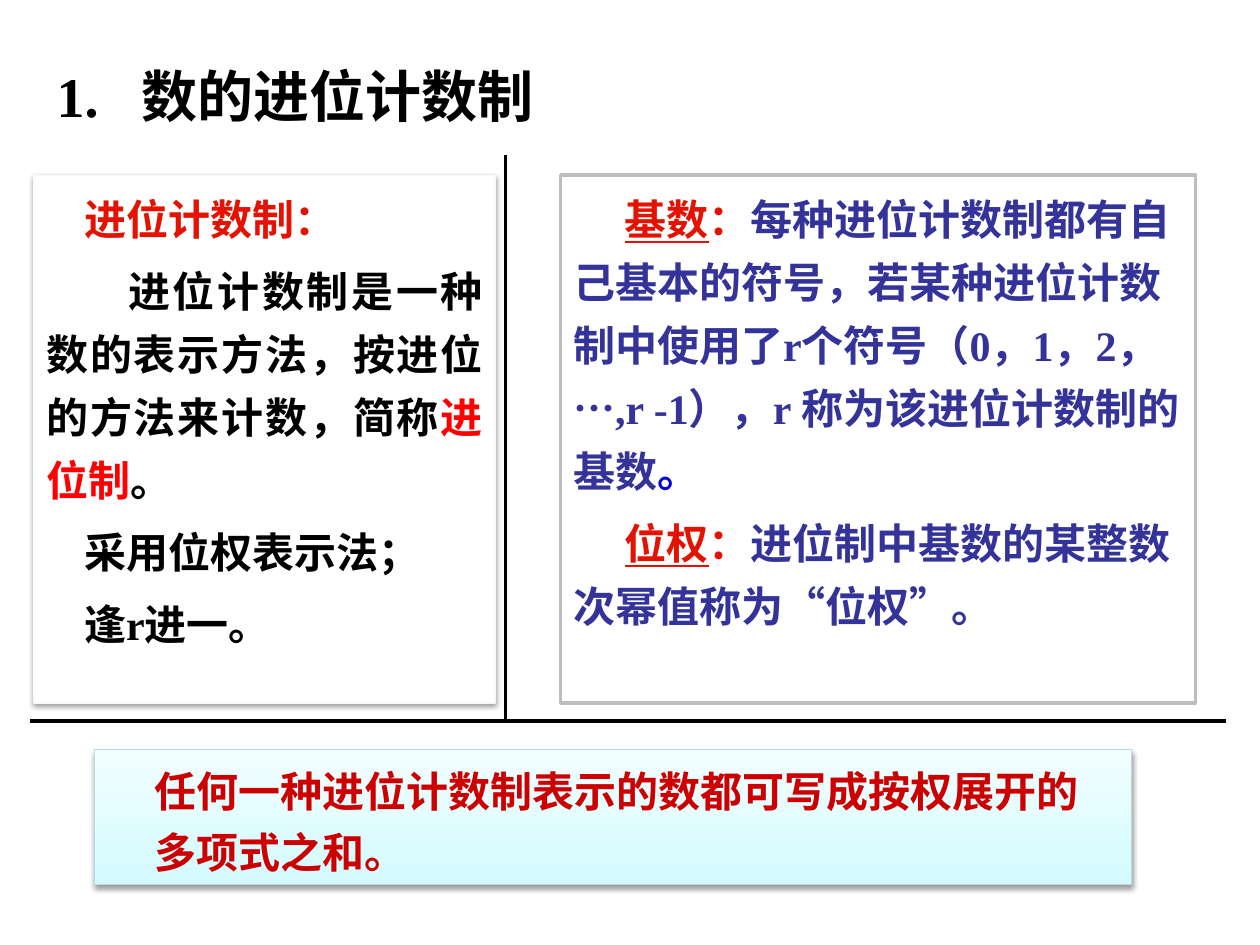
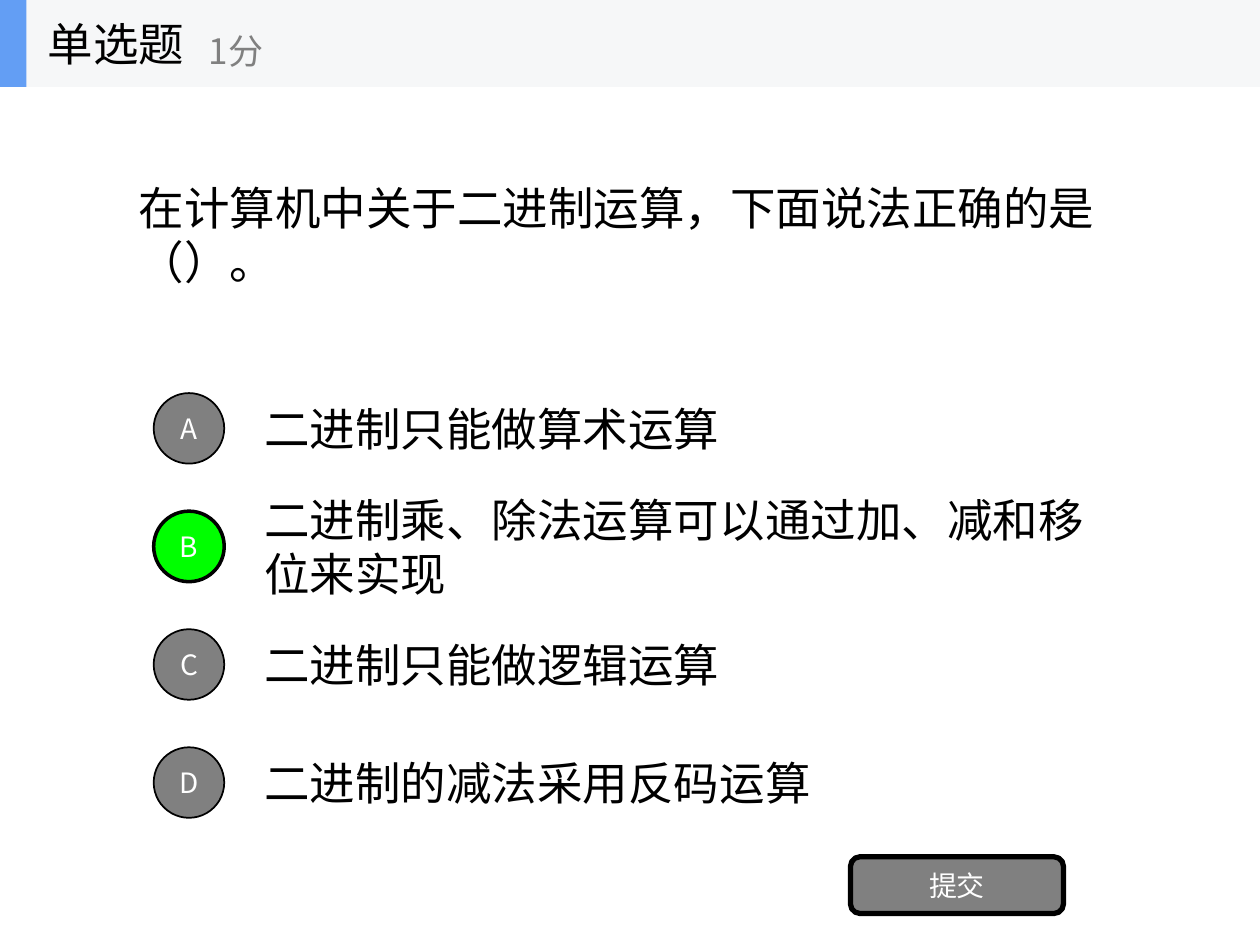
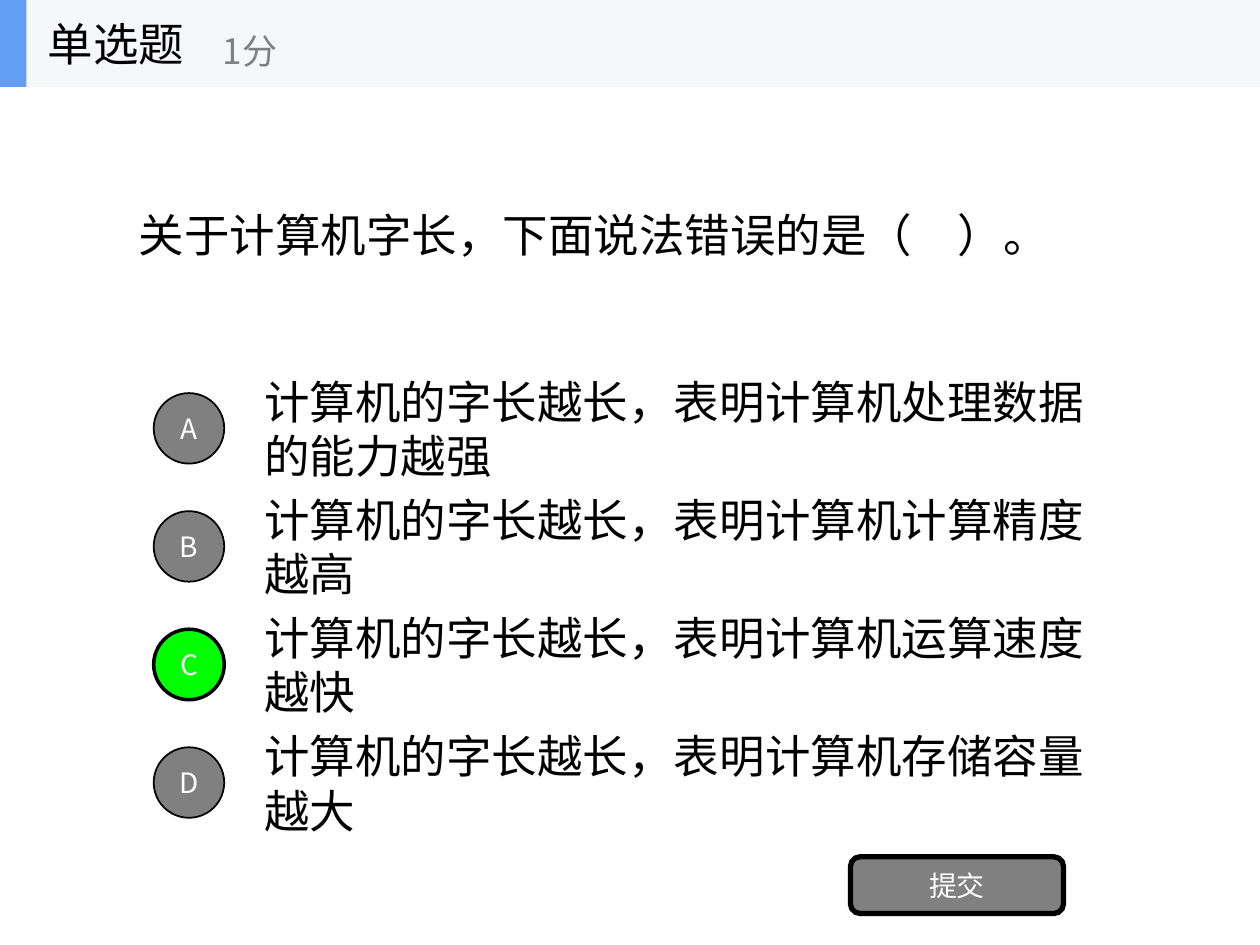
from typing import NamedTuple

from lxml import etree
from pptx import Presentation
from pptx.dml.color import RGBColor
from pptx.enum.shapes import MSO_CONNECTOR, MSO_SHAPE
from pptx.enum.text import MSO_ANCHOR, MSO_AUTO_SIZE, PP_ALIGN
from pptx.oxml.ns import qn
from pptx.util import Inches, Pt

RECTANGLE, ROUNDED, ELLIPSE = MSO_SHAPE.RECTANGLE, MSO_SHAPE.ROUNDED_RECTANGLE, MSO_SHAPE.OVAL
STRAIGHT = MSO_CONNECTOR.STRAIGHT
TOP, MIDDLE = MSO_ANCHOR.TOP, MSO_ANCHOR.MIDDLE
LEFT, CENTER, JUSTIFY = PP_ALIGN.LEFT, PP_ALIGN.CENTER, PP_ALIGN.JUSTIFY
NO_AUTOFIT = MSO_AUTO_SIZE.NONE

BLACK = RGBColor(0x00, 0x00, 0x00)
WHITE = RGBColor(0xFF, 0xFF, 0xFF)
GRAY = RGBColor(0x80, 0x80, 0x80)
GREEN = RGBColor(0x00, 0xFF, 0x00)
RED = RGBColor(0xFF, 0x00, 0x00)
TERM_RED = RGBColor(0xE4, 0x12, 0x02)
BANNER_RED = RGBColor(0xCC, 0x00, 0x00)
INDIGO = RGBColor(0x33, 0x33, 0x99)
BLUE = RGBColor(0x08, 0x03, 0xD9)
PALE_EDGE = RGBColor(0xF9, 0xF9, 0xF9)
GRAY_EDGE = RGBColor(0xBD, 0xBD, 0xBD)
BANNER_EDGE = RGBColor(0xB6, 0xDC, 0xDF)
BANNER_GRADIENT = [RGBColor(0xD3, 0xFB, 0xFF), RGBColor(0xF2, 0xFE, 0xFF)]
HEADER_GRAY = RGBColor(0xF6, 0xF7, 0xF8)
HEADER_BLUE = RGBColor(0x63, 0x9E, 0xF4)

SANS, SERIF = "Noto Sans CJK SC", "Times New Roman"
HEADING = {"size": Pt(32), "name": SERIF, "bold": True}
LECTURE = {"size": Pt(24), "name": SERIF, "bold": True}
QUIZ = {"size": Pt(26), "name": SANS, "bold": False}
SCORE = {**QUIZ, "size": Pt(20)}
BUTTON = {**QUIZ, "size": Pt(16)}

COLUMNS, ROWS = 100, 75
SLIDE_WIDTH, SLIDE_HEIGHT = Inches(10), Inches(7.5)
TITLE_ONLY = 5


class Box(NamedTuple):
    column: float
    row: float
    columns: float
    rows: float

    def cell(self, column, row, columns, rows):
        return Box(self.column + column, self.row + row, columns, rows)

    def frame(self):
        across, down = SLIDE_WIDTH / COLUMNS, SLIDE_HEIGHT / ROWS
        return [round(length) for length in (
            self.column * across, self.row * down, self.columns * across, self.rows * down)]


PAGE = Box(0, 0, COLUMNS, ROWS)


def apply_formats(target, formats):
    for name, value in formats.items():
        setattr(target, name, value)


def add_run(paragraph, text, formats, color, underline=False):
    run = paragraph.add_run()
    run.text = text
    apply_formats(run.font, {**formats, "underline": underline})
    run.font.color.rgb = color
    etree.SubElement(run._r.get_or_add_rPr(), qn("a:ea"), typeface=SANS)


def write_line(shape, text, formats, color, align=LEFT, anchor=MIDDLE, wrap=True):
    apply_formats(shape.text_frame, {
        "word_wrap": wrap, "auto_size": NO_AUTOFIT, "vertical_anchor": anchor})
    paragraph = shape.text_frame.paragraphs[0]
    paragraph.alignment = align
    add_run(paragraph, text, formats, color)
    return paragraph


def write_paragraphs(shape, paragraphs, align, spacing):
    frame = shape.text_frame
    apply_formats(frame, {
        "word_wrap": True, "auto_size": NO_AUTOFIT, "vertical_anchor": TOP})
    for number, (margin, indent, runs) in enumerate(paragraphs):
        paragraph = frame.add_paragraph() if number else frame.paragraphs[0]
        apply_formats(paragraph, {"alignment": align, "line_spacing": spacing})
        if number:
            paragraph.space_before = Pt(5)
        properties = paragraph._p.get_or_add_pPr()
        properties.set("marL", str(Inches(margin)))
        properties.set("indent", str(Inches(indent)))
        for text, color, *underline in runs:
            add_run(paragraph, text, LECTURE, color, *underline)


def add_block(shapes, kind, box, fill, edge=None, edge_width=0):
    block = shapes.add_shape(kind, *box.frame())
    block.shadow.inherit = False
    if isinstance(fill, list):
        block.fill.gradient()
        block.fill.gradient_angle = 90
        for stop, color in zip(block.fill.gradient_stops, fill):
            stop.color.rgb = color
    else:
        block.fill.solid()
        block.fill.fore_color.rgb = fill
    if edge is None:
        block.line.fill.background()
    else:
        block.line.color.rgb = edge
        block.line.width = Pt(edge_width)
    return block


def drop_shadow(block):
    effects = block._element.spPr.find(qn("a:effectLst"))
    shadow = etree.SubElement(
        effects, qn("a:outerShdw"), blurRad=str(Pt(3.1)), dist=str(Pt(1.6)),
        dir="5400000", algn="ctr", rotWithShape="0")
    color = etree.SubElement(shadow, qn("a:srgbClr"), val=str(BLACK))
    etree.SubElement(color, qn("a:alpha"), val="38000")


def add_rule(slide, box, width):
    left, top, across, down = box.frame()
    rule = slide.shapes.add_connector(STRAIGHT, left, top, left + across, top + down)
    rule.line.color.rgb = BLACK
    rule.line.width = Pt(width)
    etree.SubElement(rule._element.spPr, qn("a:effectLst"))


def place_title(slide, box, text, formats, anchor):
    title = slide.shapes.title
    apply_formats(title, dict(zip(("left", "top", "width", "height"), box.frame())))
    return write_line(title, text, formats, BLACK, anchor=anchor)


def add_heading(slide, box, text):
    paragraph = place_title(slide, box, text, HEADING, TOP)
    tabs = etree.SubElement(paragraph._p.get_or_add_pPr(), qn("a:tabLst"))
    etree.SubElement(tabs, qn("a:tab"), pos=str(Inches(0.67)), algn="l")


def add_panels(slide, box):
    definition = add_block(
        slide.shapes, RECTANGLE, box.cell(0, 0, 36.6, box.rows), WHITE, PALE_EDGE, 0.75)
    drop_shadow(definition)
    write_paragraphs(definition, [
        (0, 0.3, [("进位计数制：", TERM_RED)]),
        (0, 0.65, [("进位计数制是一种数的表示方法，按进位的方法来计数，简称", BLACK),
                   ("进位制", RED), ("。", BLACK)]),
        (0, 0.3, [("采用位权表示法；", BLACK)]),
        (0, 0.3, [("逢r进一。", BLACK)]),
    ], JUSTIFY, 1.25)

    terms = add_block(
        slide.shapes, RECTANGLE, box.cell(41.8, 0, 50.4, box.rows), WHITE, GRAY_EDGE, 2)
    write_paragraphs(terms, [
        (0, 0.41, [("基数", TERM_RED, True), ("：", TERM_RED),
                   ("每种进位计数制都有自己基本的符号，若某种进位计数制中使用了r个符号"
                    "（0，1，2，…,r -1），r 称为该进位计数制的基数", INDIGO),
                   ("。", BLUE)]),
        (0, 0.41, [("位权", TERM_RED, True), ("：", TERM_RED),
                   ("进位制中基数的某整数次幂值称为“位权”。", INDIGO)]),
    ], LEFT, 1.25)


def add_banner(slide, box, text):
    banner = add_block(slide.shapes, RECTANGLE, box, BANNER_GRADIENT, BANNER_EDGE, 0.75)
    drop_shadow(banner)
    write_paragraphs(banner, [(0.38, 0, [(text, BANNER_RED)])], LEFT, 1.2)


def build_lecture(slide, box):
    add_banner(slide, box.cell(7.5, 59.5, 82.3, 10.7),
               "任何一种进位计数制表示的数都可写成按权展开的多项式之和。")
    add_heading(slide, box.cell(3.5, 4.4, 90, 5.5), "1.\t数的进位计数制")
    add_panels(slide, box.cell(2.7, 13.9, 92.2, 41.9))
    add_rule(slide, box.cell(40.1, 12.3, 0, 45), 1.5)
    add_rule(slide, box.cell(2.4, 57.2, 94.9, 0), 2.25)


def add_options(slide, box, options, answer):
    pitch = 9.37
    for number, (letter, option) in enumerate(zip("ABCD", options)):
        row = box.cell(0, number * pitch, box.columns, 7)
        chosen = letter == answer
        label = slide.shapes.add_textbox(*row.cell(7.8, 0, 70, row.rows).frame())
        write_line(label, option, QUIZ, BLACK)
        badge = add_block(slide.shapes, ELLIPSE, row.cell(0, 0.7, 5.6, 5.6),
                          GREEN if chosen else GRAY, BLACK, 2 if chosen else 1)
        write_line(badge, letter, BUTTON, WHITE, CENTER)


def add_submit(slide, box):
    submit = add_block(slide.shapes, ROUNDED, box, GRAY, BLACK, 3)
    write_line(submit, "提交", BUTTON, WHITE, CENTER)


def add_header(slide, box, score_column):
    header = slide.shapes.add_group_shape().shapes
    add_block(header, RECTANGLE, box, HEADER_GRAY)
    add_block(header, RECTANGLE, box.cell(0, 0, 2.1, box.rows), HEADER_BLUE)
    for area, text, formats, color in (
        (box.cell(2.8, 0, 20.8, box.rows), "单选题", QUIZ, BLACK),
        (box.cell(score_column, 1.2, 25, 5.6), "1分", SCORE, GRAY),
    ):
        label = header.add_textbox(*area.frame())
        write_line(label, text, formats, color, wrap=False)


def build_quiz(slide, box, question, options, answer, score_column):
    place_title(slide, box.cell(10, 6.9, 80, 23.4), question, QUIZ, MIDDLE)
    add_options(slide, box.cell(12.2, 30.5, 77.8, 35.1), options, answer)
    add_submit(slide, box.cell(67.5, 68, 16.9, 4.5))
    add_header(slide, box.cell(0, 0, box.columns, 6.9), score_column)


QUIZZES = [
    ("在计算机中关于二进制运算，下面说法正确的是（）。",
     ["二进制只能做算术运算",
      "二进制乘、除法运算可以通过加、减和移位来实现",
      "二进制只能做逻辑运算",
      "二进制的减法采用反码运算"],
     "B", 15.6),
    ("关于计算机字长，下面说法错误的是（　）。",
     ["计算机的字长越长，表明计算机" + effect for effect in (
         "处理数据的能力越强", "计算精度越高", "运算速度越快", "存储容量越大")],
     "C", 16.7),
]


def main():
    deck = Presentation()
    deck.slide_width, deck.slide_height = SLIDE_WIDTH, SLIDE_HEIGHT
    layout = deck.slide_layouts[TITLE_ONLY]
    build_lecture(deck.slides.add_slide(layout), PAGE)
    for quiz in QUIZZES:
        build_quiz(deck.slides.add_slide(layout), PAGE, *quiz)
    deck.save("out.pptx")


if __name__ == "__main__":
    main()
